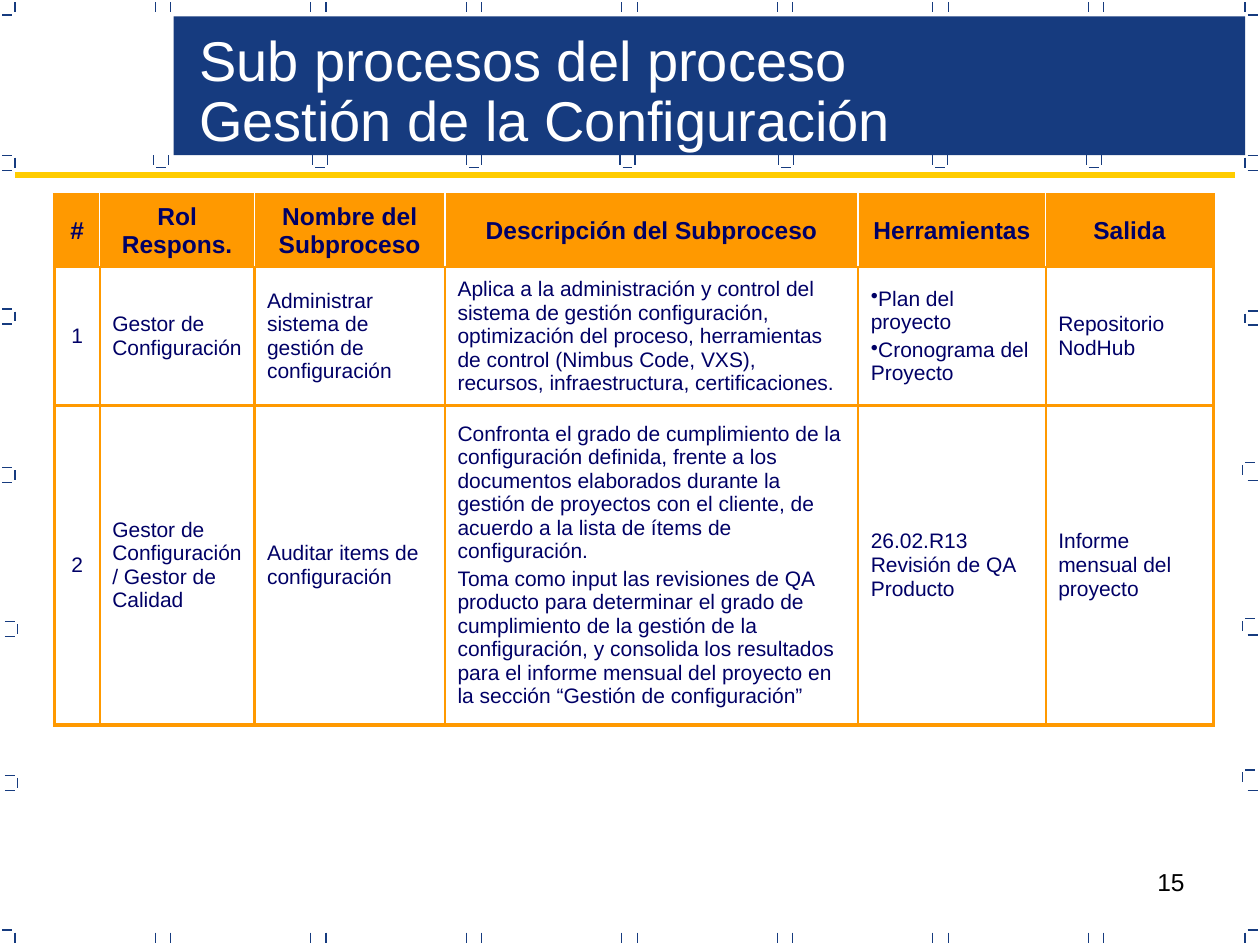
from lxml.etree import SubElement
from pptx import Presentation
from pptx.dml.color import RGBColor
from pptx.enum.shapes import MSO_CONNECTOR, MSO_SHAPE
from pptx.enum.text import MSO_ANCHOR, MSO_AUTO_SIZE, PP_ALIGN
from pptx.oxml import parse_xml
from pptx.oxml.ns import nsdecls, qn
from pptx.util import Cm, Pt

BLUE = RGBColor(0x16, 0x3B, 0x7F)
NAVY = RGBColor(0x00, 0x00, 0x66)
ORANGE = RGBColor(0xFF, 0x99, 0x00)
YELLOW = RGBColor(0xFF, 0xCC, 0x00)
WHITE = RGBColor(0xFF, 0xFF, 0xFF)
BLACK = RGBColor(0x00, 0x00, 0x00)

WIDTHS = [0.91, 3.12, 3.84, 8.33, 3.78, 3.38]
HEIGHTS = [1.45, 2.79, 6.05]
ROWS = [
    ["#", "Rol Respons.", "Nombre del Subproceso", "Descripción del Subproceso",
     "Herramientas", "Salida"],
    ["1", "Gestor de Configuración", "Administrar sistema de gestión de configuración",
     "Aplica a la administración y control del sistema de gestión configuración, "
     "optimización del proceso, herramientas de control (Nimbus Code, VXS), recursos, "
     "infraestructura, certificaciones.",
     "Plan del proyecto\nCronograma del Proyecto", "Repositorio NodHub"],
    ["2", "Gestor de Configuración/ Gestor de Calidad", "Auditar items de configuración",
     "Confronta el grado de cumplimiento de la configuración definida, frente a los "
     "documentos elaborados durante la gestión de proyectos con el cliente, de acuerdo "
     "a la lista de ítems de configuración.\n"
     "Toma como input las revisiones de QA producto para determinar el grado de "
     "cumplimiento de la gestión de la configuración, y consolida los resultados para "
     "el informe mensual del proyecto en la sección “Gestión de configuración”",
     "26.02.R13 Revisión de QA Producto", "Informe mensual del proyecto"],
]


def write(frame, text, size=12, color=NAVY, bold=False, align=PP_ALIGN.LEFT,
          before=0, lead=1.0, bullet=False, font="Arial"):
    frame.word_wrap = True
    for i, part in enumerate(text.split("\n")):
        para = frame.paragraphs[0] if i == 0 else frame.add_paragraph()
        para.alignment = align
        para.line_spacing = lead
        para.space_before = Pt(before)
        if bullet:
            props = para._p.get_or_add_pPr()
            props.set("marL", "0")
            props.set("indent", "0")
            SubElement(props, qn("a:buChar")).set("char", "•")
        run = para.add_run()
        run.text = part
        run.font.name = font
        run.font.size = Pt(size)
        run.font.bold = bold
        run.font.color.rgb = color


class Deck:
    def __init__(self, show):
        self.slide = show.slides.add_slide(show.slide_layouts[5])
        self.shapes = self.slide.shapes
        self.color = BLUE
        self.weight = 0.75

    def line(self, x1, y1, x2, y2, color=None, weight=None):
        line = self.shapes.add_connector(
            MSO_CONNECTOR.STRAIGHT, Cm(x1), Cm(y1), Cm(x2), Cm(y2))
        line.line.color.rgb = color or self.color
        line.line.width = Pt(weight or self.weight)
        SubElement(line._element.spPr, qn("a:effectLst"))

    def down(self, x, y):
        self.line(x, y, x, y + 0.2)

    def flat(self, x, y):
        self.line(x, y, x + 0.2, y)

    def hook(self, x, start, top, base, foot):
        self.flat(start, top)
        self.down(x, top + 0.05)
        self.flat(foot, base)

    def cup(self, x, y):
        self.down(x, y)
        self.down(x + 0.3, y)
        self.flat(x + 0.05, y + 0.25)

    def box(self, x, y, w, h):
        box = self.shapes.add_shape(MSO_SHAPE.RECTANGLE, Cm(x), Cm(y), Cm(w), Cm(h))
        box.shadow.inherit = False
        box.fill.solid()
        box.fill.fore_color.rgb = self.color
        box.line.fill.background()

    def title(self, text, x, y, w, h):
        head = self.shapes.title
        head.left, head.top, head.width, head.height = Cm(x), Cm(y), Cm(w), Cm(h)
        frame = head.text_frame
        frame.auto_size = MSO_AUTO_SIZE.NONE
        frame.vertical_anchor = MSO_ANCHOR.TOP
        write(frame, text, size=32, color=WHITE, lead=0.9)
        self.shapes._spTree.append(head._element)

    def label(self, text, x, y, w, h, **style):
        box = self.shapes.add_textbox(Cm(x), Cm(y), Cm(w), Cm(h))
        write(box.text_frame, text, **style)

    def edges(self, cell, sides):
        props = cell._tc.get_or_add_tcPr()
        for i, (side, (color, weight)) in enumerate(sides.items()):
            props.insert(i, parse_xml(
                f'<a:ln{side} {nsdecls("a")} w="{Pt(weight)}"><a:solidFill>'
                f'<a:srgbClr val="{color}"/></a:solidFill></a:ln{side}>'))

    def table(self, rows, x, y, widths, heights):
        grid = self.shapes.add_table(
            len(rows), len(widths), Cm(x), Cm(y), Cm(sum(widths)), Cm(sum(heights))).table
        grid.first_row = grid.horz_banding = False
        for col, width in zip(grid.columns, widths):
            col.width = Cm(width)
        for row, height in zip(grid.rows, heights):
            row.height = Cm(height)
        thick, thin = (ORANGE, 2.25), (ORANGE, 1.5)
        end, last = len(widths) - 1, len(rows) - 1
        for r, row in enumerate(rows):
            head = r == 0
            inner = (WHITE, 1) if head else thin
            for c, text in enumerate(row):
                cell = grid.cell(r, c)
                cell.vertical_anchor = MSO_ANCHOR.MIDDLE
                if head:
                    cell.fill.solid()
                    cell.fill.fore_color.rgb = ORANGE
                else:
                    cell.fill.background()
                size = 14 if head else 12
                write(cell.text_frame, text, size=size, bold=head, before=size * 0.2,
                      align=PP_ALIGN.CENTER if head or c == 0 else PP_ALIGN.LEFT,
                      bullet=(r, c) == (1, 4))
                self.edges(cell, {
                    "L": thick if c == 0 else inner,
                    "R": thick if c == end else inner,
                    "T": thick if head else thin,
                    "B": thick if r == last else thin})


def main():
    show = Presentation()
    show.slide_width, show.slide_height = Cm(25.4), Cm(19.05)
    deck = Deck(show)
    deck.label("15", 18.21, 17.35, 5.92, 1.32, size=14, color=BLACK, align=PP_ALIGN.RIGHT)
    for y in (0.05, 18.8):
        for i in range(7):
            x = 3.13 + 3.135 * i
            deck.down(x, y)
            deck.down(x + 0.31, y)
        for x in (0.3, 25.1):
            deck.down(x, y)
    for y in (0.3, 18.75):
        for x in (0.05, 25.15):
            deck.flat(x, y)
    deck.box(3.5, 0.33, 21.6, 2.8)
    for x, top in ((0.3, 3.13), (0.3, 6.23), (0.3, 9.43), (0.35, 12.53), (0.35, 15.63)):
        deck.hook(x, x - 0.25, top, top + 0.3, x - 0.25)
    for x, top, base in ((25.1, 3.13, 3.43), (25.1, 6.27, 6.55), (25.05, 9.32, 9.68),
                         (25.05, 12.47, 12.8), (25.05, 15.52, 15.93)):
        deck.hook(x, x + 0.05, top, base, 25.15)
    for x in (3.1, 6.3, 9.4, 12.5, 15.7, 18.8, 21.9):
        deck.cup(x, 3.13)
    deck.table(ROWS, 1.1, 3.93, WIDTHS, HEIGHTS)
    deck.title("Sub procesos del proceso\nGestión de la Configuración", 3.76, 0.53, 21.13, 2.69)
    deck.line(0.3, 3.53, 24.9, 3.53, color=YELLOW, weight=3)
    show.save("out.pptx")


if __name__ == "__main__":
    main()
